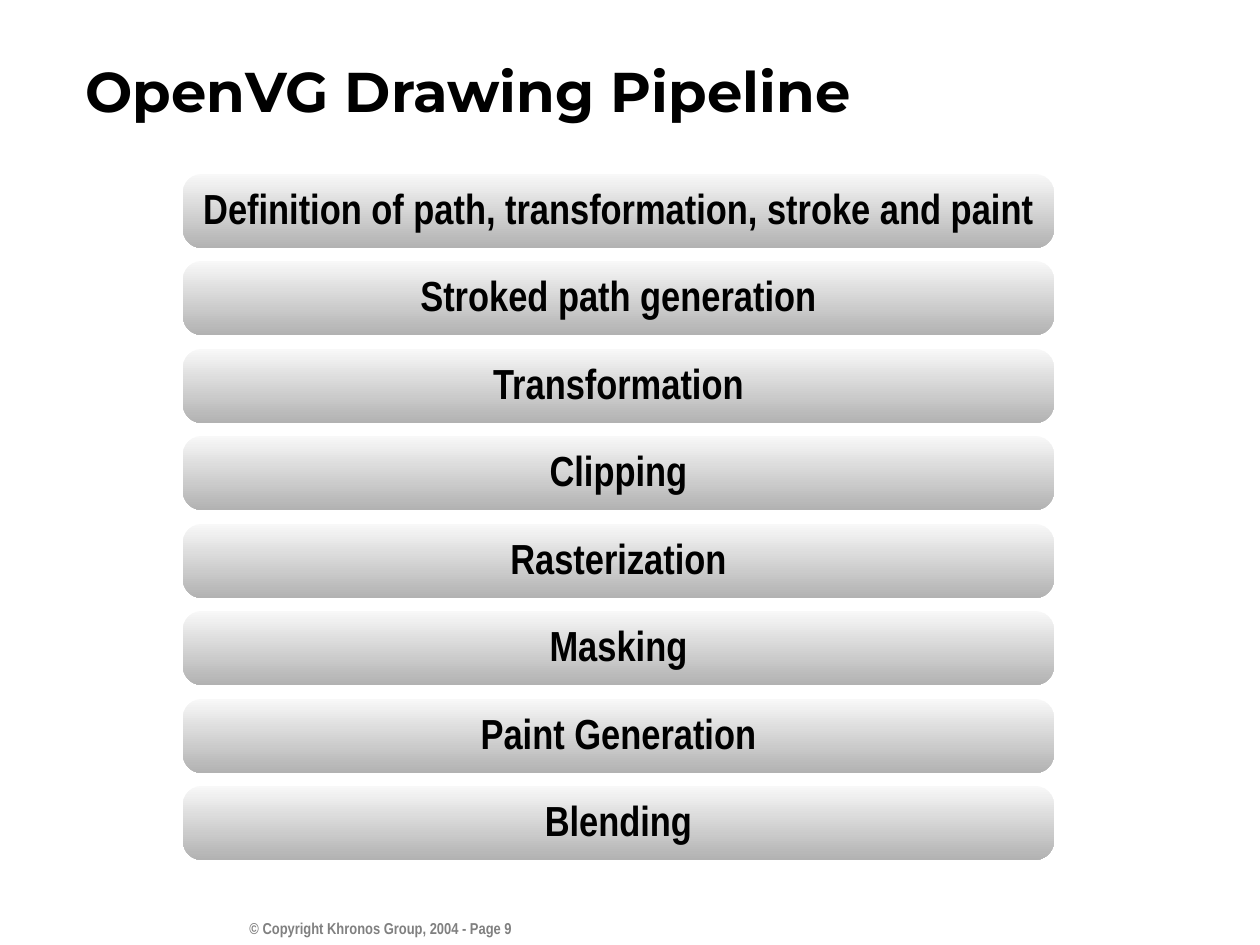
from dataclasses import dataclass

from pptx import Presentation
from pptx.dml.color import RGBColor
from pptx.enum.shapes import MSO_SHAPE
from pptx.enum.text import MSO_ANCHOR, PP_ALIGN
from pptx.util import Emu, Pt

PX = 914400 // 126  # EMU in one px

BLACK = RGBColor(0x00, 0x00, 0x00)
GRAY = RGBColor(0x80, 0x80, 0x80)
LIGHT = RGBColor(0xF8, 0xF8, 0xF8)
DARK = RGBColor(0xB2, 0xB2, 0xB2)

ROUND = MSO_SHAPE.ROUNDED_RECTANGLE
TOP, MIDDLE = MSO_ANCHOR.TOP, MSO_ANCHOR.MIDDLE
LEFT, CENTER, RIGHT = PP_ALIGN.LEFT, PP_ALIGN.CENTER, PP_ALIGN.RIGHT


@dataclass(frozen=True)
class Box:
    left: int
    top: int
    width: int
    height: int

    def emu(self) -> list[Emu]:
        return [Emu(n * PX) for n in (self.left, self.top, self.width, self.height)]


@dataclass(frozen=True)
class Style:
    font: str
    size: int
    color: RGBColor
    align: PP_ALIGN
    anchor: MSO_ANCHOR
    spacing: float = 1.0


TITLE = Style("Montserrat", 32, BLACK, LEFT, MIDDLE)
STAGE = Style("Arial Narrow", 24, BLACK, CENTER, MIDDLE, 0.9)
FOOTER = Style("Arial Narrow", 9, GRAY, RIGHT, TOP)

STAGES = (
    "Definition of path, transformation, stroke and paint",
    "Stroked path generation",
    "Transformation",
    "Clipping",
    "Rasterization",
    "Masking",
    "Paint Generation",
    "Blending",
)
FIRST, LAST = 174, 786  # tops of the first and last stage


def write(shape, text: str, style: Style) -> None:
    frame = shape.text_frame
    frame.word_wrap = True
    frame.vertical_anchor = style.anchor
    para = frame.paragraphs[0]
    para.text = text
    para.alignment = style.align
    para.line_spacing = style.spacing
    font = para.font
    font.name, font.size, font.bold = style.font, Pt(style.size), True
    font.color.rgb = style.color


def label(slide, box: Box, text: str, style: Style) -> None:
    write(slide.shapes.add_textbox(*box.emu()), text, style)


def stage(slide, box: Box, text: str) -> None:
    bar = slide.shapes.add_shape(ROUND, *box.emu())
    bar.adjustments[0] = 0.255
    bar.shadow.inherit = False
    bar.line.fill.background()
    bar.fill.gradient()
    bar.fill.gradient_angle = 270  # light at the top, dark at the bottom
    for stop, color in zip(bar.fill.gradient_stops, (LIGHT, DARK)):
        stop.color.rgb = color
    write(bar, text, STAGE)


def main() -> None:
    deck = Presentation()
    deck.slide_width, deck.slide_height = Emu(1260 * PX), Emu(945 * PX)
    slide = deck.slides.add_slide(deck.slide_layouts[6])

    # Footer and title
    label(slide, Box(223, 913, 301, 42), "© Copyright Khronos Group, 2004 - Page 9", FOOTER)
    label(slide, Box(73, 64, 1181, 53), "OpenVG Drawing Pipeline", TITLE)

    # Pipeline stages, evenly stacked
    for i, text in enumerate(STAGES):
        top = FIRST + round(i * (LAST - FIRST) / (len(STAGES) - 1))
        stage(slide, Box(183, top, 871, 74), text)

    deck.save("out.pptx")


if __name__ == "__main__":
    main()
